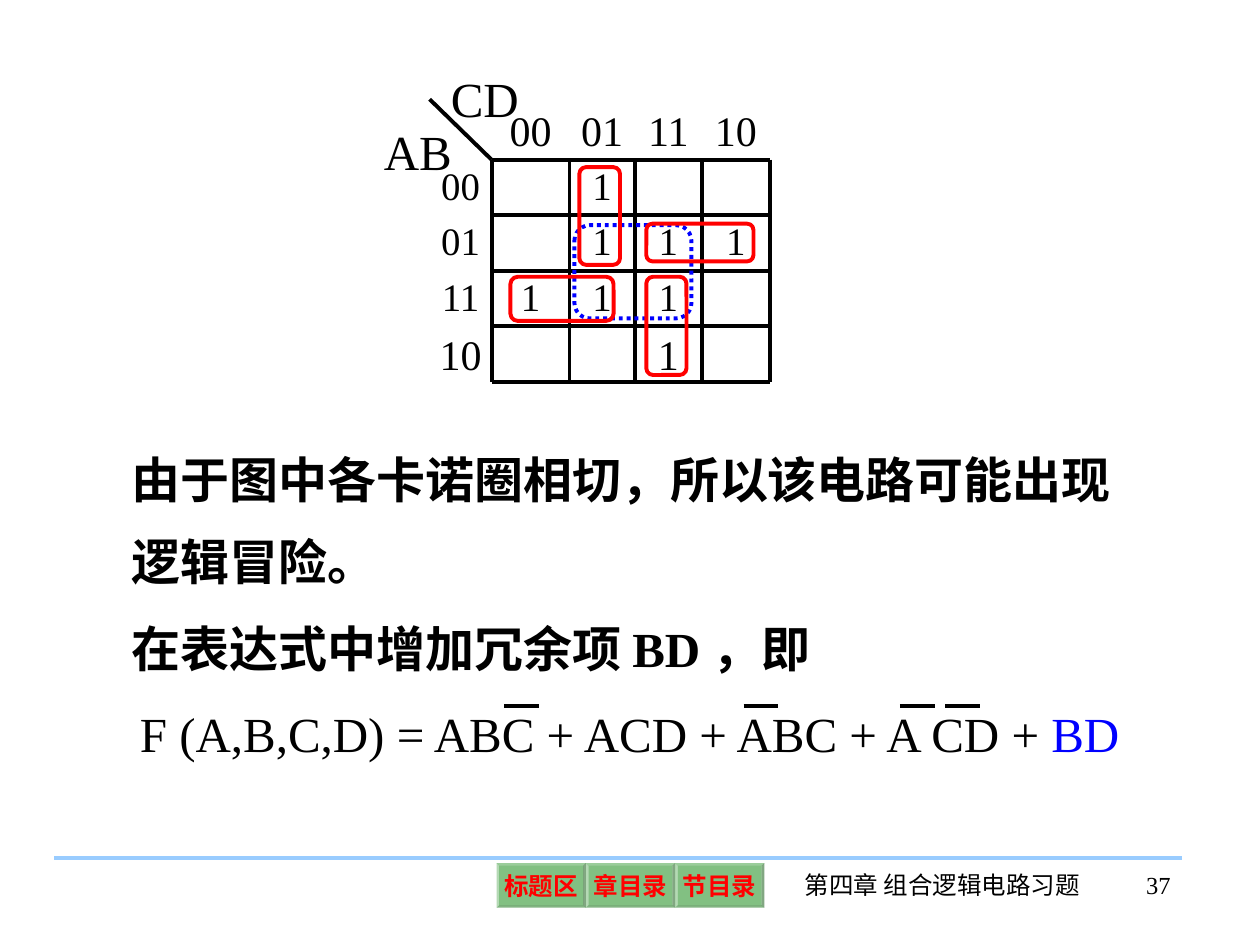
from lxml import etree
from pptx import Presentation
from pptx.dml.color import RGBColor
from pptx.enum.dml import MSO_LINE
from pptx.enum.shapes import MSO_CONNECTOR, MSO_SHAPE
from pptx.enum.text import MSO_ANCHOR, PP_ALIGN
from pptx.oxml.ns import qn
from pptx.util import Cm, Pt

BLACK = RGBColor(0, 0, 0)
RED = RGBColor(0xFF, 0, 0)
BLUE = RGBColor(0, 0, 0xFF)
GREEN = RGBColor(0, 0x80, 0)
SKY = RGBColor(0x99, 0xCC, 0xFF)
LEFT, CENTER, RIGHT = PP_ALIGN.LEFT, PP_ALIGN.CENTER, PP_ALIGN.RIGHT
TOP, MIDDLE = MSO_ANCHOR.TOP, MSO_ANCHOR.MIDDLE
STRAIGHT, DOTTED = MSO_CONNECTOR.STRAIGHT, MSO_LINE.ROUND_DOT
ROUNDED, BEVEL = MSO_SHAPE.ROUNDED_RECTANGLE, MSO_SHAPE.BEVEL
FONT = "Times New Roman"

CODES = ["00", "01", "11", "10"]
COLUMNS = [0, 1.25, 2.82, 4.14, 5.49, 6.86]
ROWS = [0] + [1.22 + 1.12 * i for i in range(5)]
ONES = [(1, 2), (2, 2), (2, 3), (2, 4), (3, 1), (3, 2), (3, 3), (4, 3)]
TERM_LOOPS = [
    (1.63, 3.58, 2.08, 0.89),
    (4.37, 3.58, 0.81, 1.98),
    (4.37, 2.51, 2.16, 0.76),
    (3.02, 1.37, 0.82, 1.97),
]
REDUNDANT_LOOP = (2.92, 2.54, 2.36, 1.88)


def write(tf, text, size, color=BLACK, bold=False, align=LEFT, spacing=None):
    """Fill the first paragraph of a text frame and return it."""
    p = tf.paragraphs[0]
    p.add_run().text = text
    p.alignment = align
    p.line_spacing = spacing
    p.font.name = FONT
    p.font.size = Pt(size)
    p.font.bold = bold
    p.font.color.rgb = color
    return p


def add_text(s, x, y, w, h, text, size, anchor=TOP, inset=None, **style):
    """Add a wrapped text box and return its paragraph."""
    tf = s.shapes.add_textbox(Cm(x), Cm(y), Cm(w), Cm(h)).text_frame
    tf.word_wrap = True
    tf.vertical_anchor = anchor
    if inset is not None:
        tf.margin_left = tf.margin_right = Cm(inset)
        tf.margin_top = tf.margin_bottom = Cm(inset)
    return write(tf, text, size, **style)


def add_line(s, x1, y1, x2, y2, color=BLACK):
    """Draw a straight line without a shadow."""
    line = s.shapes.add_connector(STRAIGHT, Cm(x1), Cm(y1), Cm(x2), Cm(y2))
    line.line.color.rgb = color
    line.line.width = Pt(2.25)
    etree.SubElement(line._element.spPr, qn("a:effectLst"))


def add_loop(s, x, y, w, h, color):
    """Draw an unfilled rounded loop and return it."""
    loop = s.shapes.add_shape(ROUNDED, Cm(x), Cm(y), Cm(w), Cm(h))
    loop.shadow.inherit = False
    loop.fill.background()
    loop.line.color.rgb = color
    loop.line.width = Pt(2.25)
    return loop


def karnaugh_map(s, x, y):
    """Place the Karnaugh map with its labels, grid and loops."""
    add_text(s, x - 1.17, y + 0.33, 2.31, 1.45, "AB", 28)
    add_text(s, x + 0.18, y - 0.74, 2.31, 1.45, "CD", 28)
    cells = [(0, i, code) for i, code in enumerate(CODES, 1)]
    cells += [(i, 0, code) for i, code in enumerate(CODES, 1)]
    cells += [(row, col, "1") for row, col in ONES]
    for row, col, text in cells:
        size, spacing = (24, None) if row in (0, 4) else (22.2, 0.9)
        height = 1.22 if row == 0 else 1.12
        add_text(s, x + COLUMNS[col], y + ROWS[row],
                 COLUMNS[col + 1] - COLUMNS[col], height, text, size,
                 anchor=MIDDLE, inset=0.05, align=CENTER, spacing=spacing)

    add_line(s, x, y, x + COLUMNS[1], y + ROWS[1])
    for col in COLUMNS[1:]:
        add_line(s, x + col, y + ROWS[1], x + col, y + ROWS[-1])
    for row in ROWS[1:]:
        add_line(s, x + COLUMNS[1], y + row, x + COLUMNS[-1], y + row)

    dx, dy, w, h = REDUNDANT_LOOP
    add_loop(s, x + dx, y + dy, w, h, BLUE).line.dash_style = DOTTED
    for dx, dy, w, h in TERM_LOOPS:
        add_loop(s, x + dx, y + dy, w, h, RED)


def explanation(s, x, y):
    """Place the two sentences on the hazard and its cure."""
    add_text(s, x, y, 21.06, 3.58,
             "由于图中各卡诺圈相切，所以该电路可能出现逻辑冒险。",
             28, bold=True, spacing=1.4)
    add_text(s, x, y + 3.88, 18.75, 1.45,
             "在表达式中增加冗余项 BD ，即", 28, bold=True)


def formula(s, x, y):
    """Place the logic expression with its negation bars."""
    p = add_text(s, x, y, 20.68, 1.45,
                 "F (A,B,C,D) = ABC + ACD + ABC + A CD + ", 28)
    r = p.add_run()
    r.text = "BD"
    r.font.color.rgb = BLUE
    for bar in (7.59, 12.42, 15.57, 16.48):
        add_line(s, x + bar, y + 0.18, x + bar + 0.7, y + 0.18)


def nav_button(s, x, y, w, h, text):
    """Place one translucent bevelled button."""
    sp = s.shapes.add_shape(BEVEL, Cm(x), Cm(y), Cm(w), Cm(h))
    sp.adjustments[0] = 0.06
    sp.shadow.inherit = False
    sp.fill.solid()
    sp.fill.fore_color.rgb = GREEN
    color = sp._element.spPr.find(qn("a:solidFill"))[0]
    etree.SubElement(color, qn("a:alpha"), val="49000")
    sp.line.fill.background()
    tf = sp.text_frame
    tf.word_wrap = False
    tf.vertical_anchor = MIDDLE
    tf.margin_left = tf.margin_right = Cm(0.1)
    tf.margin_top = tf.margin_bottom = Cm(0.1)
    write(tf, text, 14, color=RED, bold=True, align=CENTER)


def footer(s, x, y):
    """Place the rule, buttons, chapter name and page number."""
    add_line(s, x, y, x + 22.74, y, SKY)
    for i, text in enumerate(["标题区", "章目录", "节目录"]):
        nav_button(s, x + 8.92 + 1.8 * i, y + 0.1, 1.8, 0.9, text)
    add_text(s, x + 14.53, y + 0.11, 6.76, 1.27,
             "第四章 组合逻辑电路习题", 14, align=CENTER)
    add_text(s, x + 20.58, y + 0.11, 2.18, 1.27, "37", 14, align=RIGHT)


def main():
    """Build the slide and save it."""
    prs = Presentation()
    prs.slide_width, prs.slide_height = Cm(25.4), Cm(19.05)
    s = prs.slides.add_slide(prs.slide_layouts[6])
    karnaugh_map(s, 8.66, 2)
    explanation(s, 2.41, 8.46)
    formula(s, 2.57, 14.05)
    footer(s, 1.09, 17.3)
    prs.save("out.pptx")


if __name__ == "__main__":
    main()
